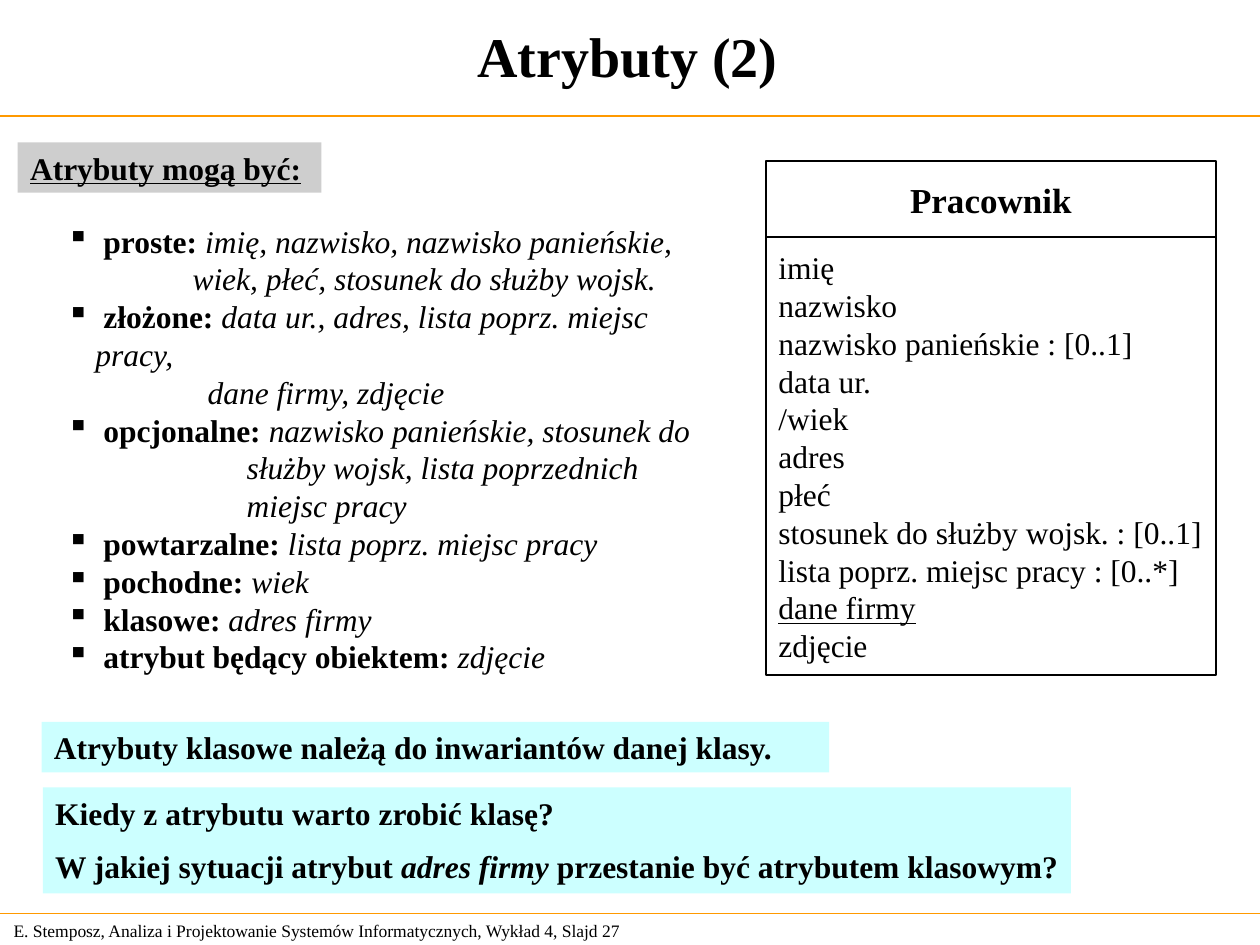
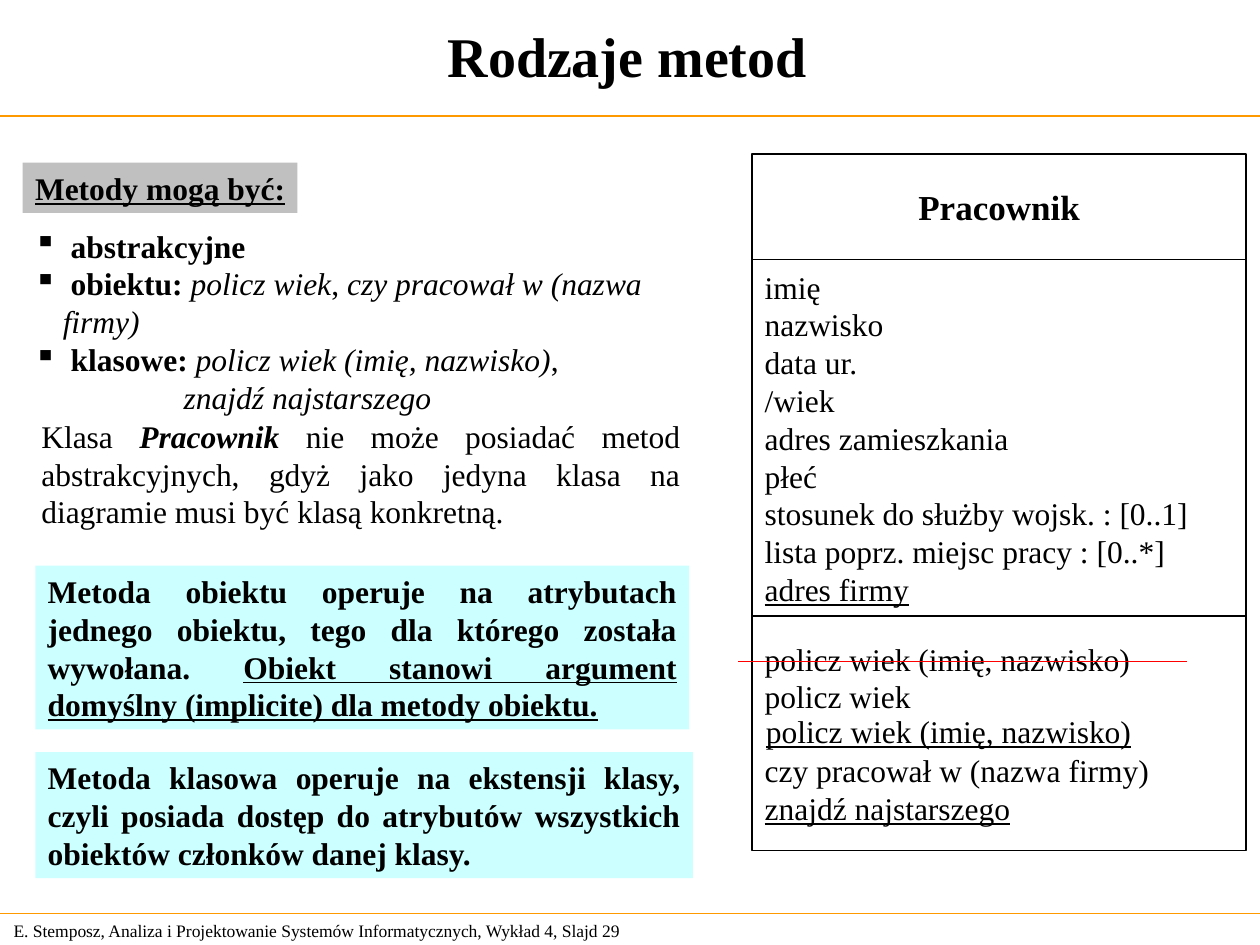
"""Build two lecture slides on class attributes and kinds of methods."""
from dataclasses import dataclass
from typing import NamedTuple

from lxml.etree import SubElement
from pptx import Presentation
from pptx.dml.color import RGBColor
from pptx.enum.shapes import MSO_CONNECTOR, MSO_SHAPE
from pptx.enum.text import MSO_ANCHOR as Anchor, PP_ALIGN as Align
from pptx.oxml.ns import qn
from pptx.slide import Slide
from pptx.util import Inches, Pt

COLORS = {
    "text": "000000",
    "rule": "FF9900",
    "strike": "FF0000",
    "note": "CCFFFF",
    "label": "CECECE",
    "dark_label": "C0C0C0",
}
FONT = "Times New Roman"
BULLET_INDENT = 0.23
FOOTER = "E. Stemposz, Analiza i Projektowanie Systemów Informatycznych, Wykład 4, Slajd {}"


class Run(NamedTuple):
    text: str
    style: str = ""


@dataclass
class Line:
    runs: list[Run]
    size: float = 18
    align: Align = Align.LEFT
    bullet: bool = False
    indent: float = 0
    space_before: float = 0


@dataclass
class Box:
    left: float
    top: float
    width: float
    height: float
    lines: list[Line]
    fill: str = ""
    outlined: bool = False
    anchor: Anchor = Anchor.TOP
    right_inset: float = 0.1


class Compartment(NamedTuple):
    height: float
    lines: list[Line]


def color(name: str) -> RGBColor:
    return RGBColor.from_string(COLORS[name])


def plain(text: str, style: str = "", **options) -> Line:
    return Line([Run(text, style)], **options)


def item(label: str, *examples: Run) -> Line:
    return Line([Run(" "), Run(label, "b"), *examples], bullet=True)


def examples(label: str, text: str) -> Line:
    return item(label + " ", Run(text, "i"))


def style_font(font, style: str) -> None:
    if "b" in style:
        font.bold = True
    if "i" in style:
        font.italic = True
    if "u" in style:
        font.underline = True


def write_line(paragraph, line: Line) -> None:
    properties = paragraph._p.get_or_add_pPr()
    indent = BULLET_INDENT if line.bullet else line.indent
    properties.set("marL", str(Inches(indent)))
    properties.set("indent", str(-Inches(indent) if line.bullet else 0))
    if line.space_before:
        paragraph.space_before = Pt(line.space_before)
    if line.bullet:
        bullet_color = SubElement(properties, qn("a:buClr"))
        SubElement(bullet_color, qn("a:srgbClr"), val=COLORS["text"])
        SubElement(properties, qn("a:buChar"), char="▪")
    paragraph.alignment = line.align
    paragraph.font.name = FONT
    paragraph.font.size = Pt(line.size)
    paragraph.font.color.rgb = color("text")
    for text, style in line.runs:
        run = paragraph.add_run()
        run.text = text
        style_font(paragraph.font if len(line.runs) == 1 else run.font, style)


def draw_box(slide: Slide, box: Box) -> None:
    bounds = [Inches(value) for value in (box.left, box.top, box.width, box.height)]
    if box.fill or box.outlined:
        shape = slide.shapes.add_shape(MSO_SHAPE.RECTANGLE, *bounds)
        shape.shadow.inherit = False
    else:
        shape = slide.shapes.add_textbox(*bounds)
    if box.fill:
        shape.fill.solid()
        shape.fill.fore_color.rgb = color(box.fill)
    else:
        shape.fill.background()
    if box.outlined:
        shape.line.color.rgb = color("text")
        shape.line.width = Pt(1)
    else:
        shape.line.fill.background()
    frame = shape.text_frame
    frame.word_wrap = True
    frame.vertical_anchor = box.anchor
    frame.margin_right = Inches(box.right_inset)
    for index, line in enumerate(box.lines):
        write_line(frame.add_paragraph() if index else frame.paragraphs[0], line)


def draw_rule(slide: Slide, left: float, right: float, top: float, name: str, width: float) -> None:
    connector = slide.shapes.add_connector(
        MSO_CONNECTOR.STRAIGHT, Inches(left), Inches(top), Inches(right), Inches(top)
    )
    connector.line.color.rgb = color(name)
    connector.line.width = Pt(width)
    SubElement(connector._element.spPr, qn("a:effectLst"))


def draw_class(slide: Slide, left: float, top: float, width: float, name_height: float,
               compartments: list[Compartment]) -> None:
    name = Compartment(name_height, [plain("Pracownik", "b", size=20, align=Align.CENTER)])
    for height, lines in [name, *compartments]:
        inset = 0.1 if lines is name.lines else 0
        draw_box(slide, Box(left, top, width, height, lines, outlined=True,
                            anchor=Anchor.MIDDLE, right_inset=inset))
        top += height


def add_slide(presentation, title: str, number: int) -> Slide:
    slide = presentation.slides.add_slide(presentation.slide_layouts[6])
    draw_box(slide, Box(0.01, 7.25, 5.24, 0.27, [plain(FOOTER.format(number), size=10)],
                        anchor=Anchor.MIDDLE))
    draw_rule(slide, 0, 10, 0.92, "rule", 1)
    draw_rule(slide, 0, 10, 7.25, "rule", 0.75)
    draw_box(slide, Box(0, 0.01, 9.96, 0.85, [plain(title, "b", size=32, align=Align.CENTER)],
                        anchor=Anchor.MIDDLE))
    return slide


def build_attributes(presentation) -> None:
    slide = add_slide(presentation, "Atrybuty (2)", 27)
    kinds = [
        examples("proste:", "imię, nazwisko, nazwisko panieńskie,"),
        plain("wiek, płeć, stosunek do służby wojsk.", "i", indent=1),
        examples("złożone:", "data ur., adres, lista poprz. miejsc pracy,"),
        plain("dane firmy, zdjęcie", "i", indent=1.12),
        examples("opcjonalne:", "nazwisko panieńskie, stosunek do"),
        plain("służby wojsk, lista poprzednich", "i", indent=1.43),
        plain("miejsc pracy", "i", indent=1.43),
        examples("powtarzalne:", "lista poprz. miejsc pracy"),
        examples("pochodne:", "wiek"),
        examples("klasowe:", "adres firmy"),
        examples("atrybut będący obiektem:", "zdjęcie"),
    ]
    questions = [
        plain("Kiedy z atrybutu warto zrobić klasę?", "b"),
        Line([Run("W jakiej sytuacji atrybut ", "b"), Run("adres firmy", "bi"),
              Run(" przestanie być atrybutem klasowym?", "b")], space_before=9),
    ]
    invariant = plain("Atrybuty klasowe należą do inwariantów danej klasy.", "b",
                      align=Align.JUSTIFY)
    for box in (
        Box(0.14, 1.13, 2.41, 0.4, [plain("Atrybuty mogą być:", "bu")], "label"),
        Box(0.43, 1.71, 5.4, 3.4, kinds),
        Box(0.34, 6.25, 8.16, 0.84, questions, "note", right_inset=0),
        Box(0.33, 5.73, 6.25, 0.4, [invariant], "note"),
    ):
        draw_box(slide, box)
    names = ["imię", "nazwisko", "nazwisko panieńskie : [0..1]", "data ur.", "/wiek", "adres",
             "płeć", "stosunek do służby wojsk. : [0..1]", "lista poprz. miejsc pracy : [0..*]"]
    attributes = [*map(plain, names), plain("dane firmy", "u"), plain("zdjęcie")]
    draw_class(slide, 6.08, 1.28, 3.57, 0.6, [Compartment(3.48, attributes)])


def build_methods(presentation) -> None:
    slide = add_slide(presentation, "Rodzaje metod", 29)
    kinds = [
        item("abstrakcyjne"),
        item("obiektu: ", Run("policz wiek", "i"), Run(", "),
             Run("czy pracował w (nazwa firmy)", "i")),
        item("klasowe: ", Run("policz wiek (imię, nazwisko)", "i"), Run(",")),
        plain("znajdź najstarszego", "i", indent=1.19),
    ]
    class_method = plain(
        "Metoda klasowa operuje na ekstensji klasy, czyli posiada dostęp do atrybutów "
        "wszystkich obiektów członków danej klasy.", "b", align=Align.JUSTIFY)
    object_method = Line([
        Run("Metoda obiektu operuje na atrybutach jednego obiektu, tego dla którego "
            "została wywołana. ", "b"),
        Run("Obiekt stanowi argument domyślny (implicite) dla metody obiektu.", "bu"),
    ], align=Align.JUSTIFY)
    concrete_class = Line([
        Run("Klasa "), Run("Pracownik ", "bi"),
        Run("nie może posiadać metod abstrakcyjnych, gdyż jako jedyna klasa na diagramie "
            "musi być klasą konkretną."),
    ], align=Align.JUSTIFY)
    for box in (
        Box(0.18, 1.29, 2.18, 0.4, [plain("Metody mogą być:", "bu")], "dark_label",
            right_inset=0),
        Box(0.17, 1.75, 5.5, 1.3, kinds),
        Box(0.28, 5.97, 5.22, 1, [class_method], "note"),
        Box(0.28, 4.49, 5.19, 1.3, [object_method], "note"),
        Box(0.23, 3.26, 5.27, 1, [concrete_class]),
    ):
        draw_box(slide, box)
    names = ["imię", "nazwisko", "data ur.", "/wiek", "adres zamieszkania", "płeć",
             "stosunek do służby wojsk. : [0..1]", "lista poprz. miejsc pracy : [0..*]"]
    attributes = [*map(plain, names), plain("adres firmy", "u")]
    signature = "policz wiek (imię, nazwisko)"
    methods = [
        plain(signature),
        plain("policz wiek"),
        plain("czy pracował w (nazwa firmy)", space_before=20.7),
        plain("znajdź najstarszego", "u"),
    ]
    draw_class(slide, 5.97, 1.22, 3.92, 0.84,
               [Compartment(2.83, attributes), Compartment(1.86, methods)])
    draw_rule(slide, 5.86, 9.42, 5.25, "strike", 1)
    draw_box(slide, Box(5.98, 5.6, 3.1, 0.4, [plain(signature, "u")], right_inset=0))


def main() -> None:
    presentation = Presentation()
    presentation.slide_width = Inches(10)
    presentation.slide_height = Inches(7.5)
    build_attributes(presentation)
    build_methods(presentation)
    presentation.save("out.pptx")


if __name__ == "__main__":
    main()
